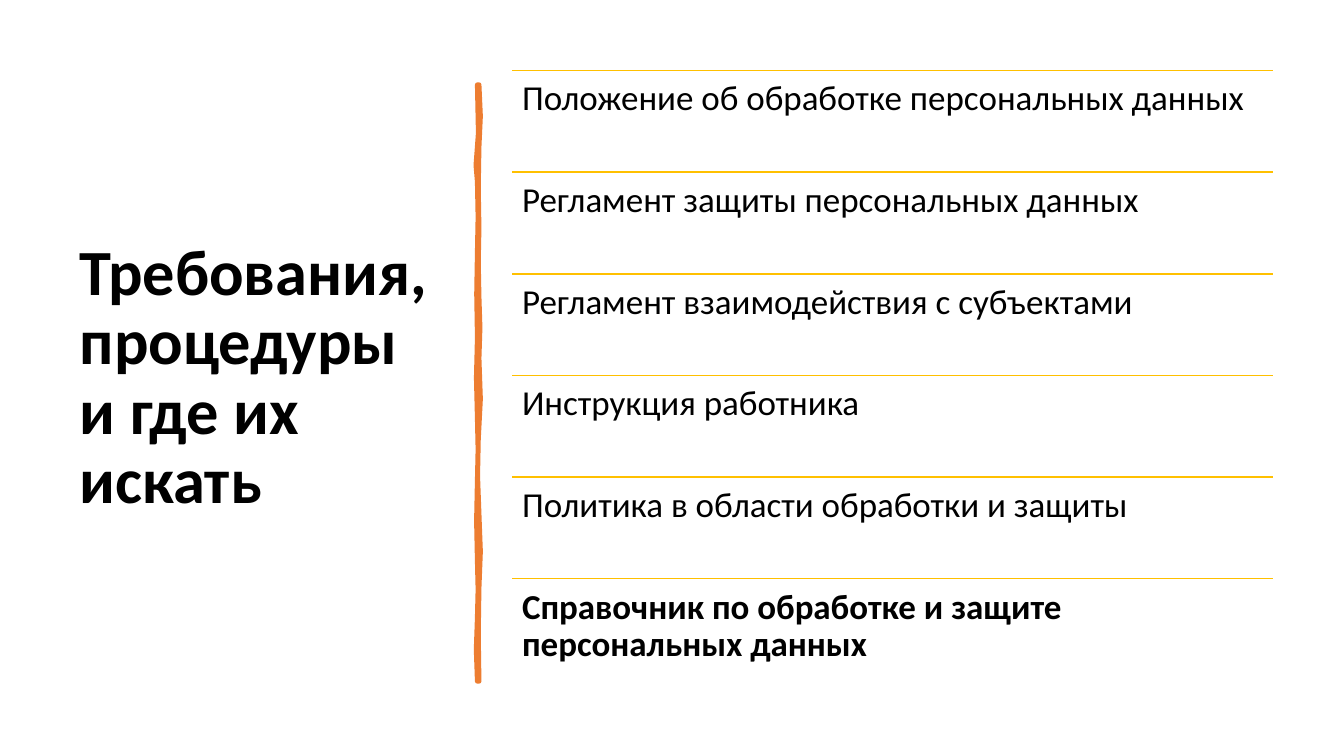
from lxml import etree
from pptx import Presentation
from pptx.dml.color import RGBColor
from pptx.enum.shapes import MSO_CONNECTOR
from pptx.enum.text import MSO_ANCHOR, MSO_AUTO_SIZE, PP_ALIGN
from pptx.oxml.ns import qn
from pptx.util import Pt

STRAIGHT = MSO_CONNECTOR.STRAIGHT
TOP, MIDDLE = MSO_ANCHOR.TOP, MSO_ANCHOR.MIDDLE
NO_FIT = MSO_AUTO_SIZE.NONE
LEFT = PP_ALIGN.LEFT
FONT = "Calibri"
BLACK, ORANGE, GOLD = "000000", "ED7D31", "FFC000"

TITLE = "Требования, процедуры и где их искать"
ITEMS = [
    "Положение об обработке персональных данных",
    "Регламент защиты персональных данных",
    "Регламент взаимодействия с субъектами",
    "Инструкция работника",
    "Политика в области обработки и защиты",
    "Справочник по обработке и защите персональных данных",
]
LIST_X, LIST_Y, LIST_W, ROW_H = 365.8, 50.4, 543.6, 72.6

BAR_X, BAR_W = 340.9, 1.4
RIGHT_EDGE = [
    (60.5, 0), (83, 1), (105, 0), (134, -0.5), (163, 0), (187, -0.5),
    (212, 0), (234, 0.7), (256, 0), (285, 1), (314, -0.5), (340, -1),
    (367, 0), (394, 1), (420, 0), (453, -0.5), (486.7, 0),
]
LEFT_EDGE = [
    (486.7, 0), (464, -0.8), (441, 0), (421, 0.5), (401, 0), (372, -0.6),
    (343, 0), (321, 0.5), (299, 0), (270, -0.7), (241, 0), (210, -0.5),
    (180, 0), (155, 0.5), (130, 0), (118, -1), (95, 0.7), (60.5, 0),
]


def paint(color):
    """Turn a hex string into a colour."""
    return RGBColor.from_string(color)


def write(shape, text, size, bold, anchor, inset):
    """Fill a shape with left-aligned text."""
    frame = shape.text_frame
    frame.text = text
    frame.word_wrap = True
    frame.auto_size = NO_FIT
    frame.vertical_anchor = anchor
    frame.margin_left = frame.margin_right = Pt(7.2)
    frame.margin_top = frame.margin_bottom = Pt(inset)
    para = frame.paragraphs[0]
    para.alignment = LEFT
    para.line_spacing = 0.9
    font = para.runs[0].font
    font.name, font.size, font.bold = FONT, Pt(size), bold
    font.color.rgb = paint(BLACK)


def add_title(slide):
    """Place and format the slide title."""
    title = slide.shapes.title
    title.left, title.top = Pt(49.7), Pt(50.4)
    title.width, title.height = Pt(269.3), Pt(439.9)
    write(title, TITLE, 46, True, MIDDLE, 3.6)


def add_bar(slide):
    """Draw the wavy upright bar between title and list."""
    edge = [(BAR_X + BAR_W + dx, y) for y, dx in RIGHT_EDGE]
    edge += [(BAR_X + dx, y) for y, dx in LEFT_EDGE]
    dots = [(round(x * 100), round(y * 100)) for x, y in edge]
    pen = slide.shapes.build_freeform(*dots[0], scale=Pt(1) / 100)
    pen.add_line_segments(dots[1:], close=True)
    bar = pen.convert_to_shape()
    bar.shadow.inherit = False
    bar.fill.solid()
    bar.fill.fore_color.rgb = paint(ORANGE)
    bar.line.color.rgb = paint(ORANGE)
    bar.line.width = Pt(3.25)


def add_rule(slide, y):
    """Draw one thin line above a list row."""
    rule = slide.shapes.add_connector(
        STRAIGHT, Pt(LIST_X), Pt(y), Pt(LIST_X + LIST_W), Pt(y))
    rule.line.color.rgb = paint(GOLD)
    rule.line.width = Pt(1)
    etree.SubElement(rule._element.spPr, qn("a:effectLst"))


def add_row(slide, y, text, bold):
    """Add one list row with its line."""
    add_rule(slide, y)
    box = slide.shapes.add_textbox(Pt(LIST_X), Pt(y), Pt(LIST_W), Pt(ROW_H))
    write(box, text, 25, bold, TOP, 7.2)


def main():
    """Build and save the slide."""
    deck = Presentation()
    deck.slide_width, deck.slide_height = Pt(960), Pt(540)
    slide = deck.slides.add_slide(deck.slide_layouts.get_by_name("Title Only"))
    add_title(slide)
    add_bar(slide)
    for i, text in enumerate(ITEMS):
        add_row(slide, LIST_Y + i * ROW_H, text, text == ITEMS[-1])
    deck.save("out.pptx")


if __name__ == "__main__":
    main()
